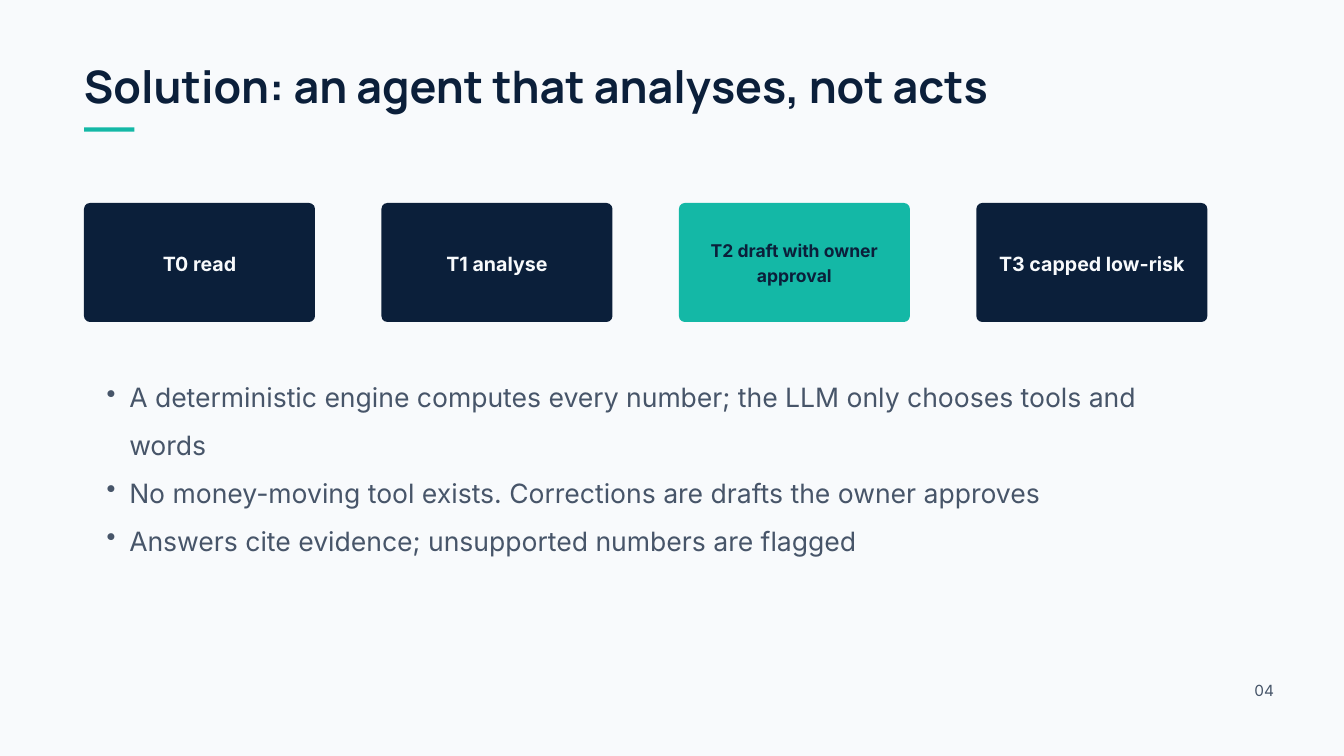
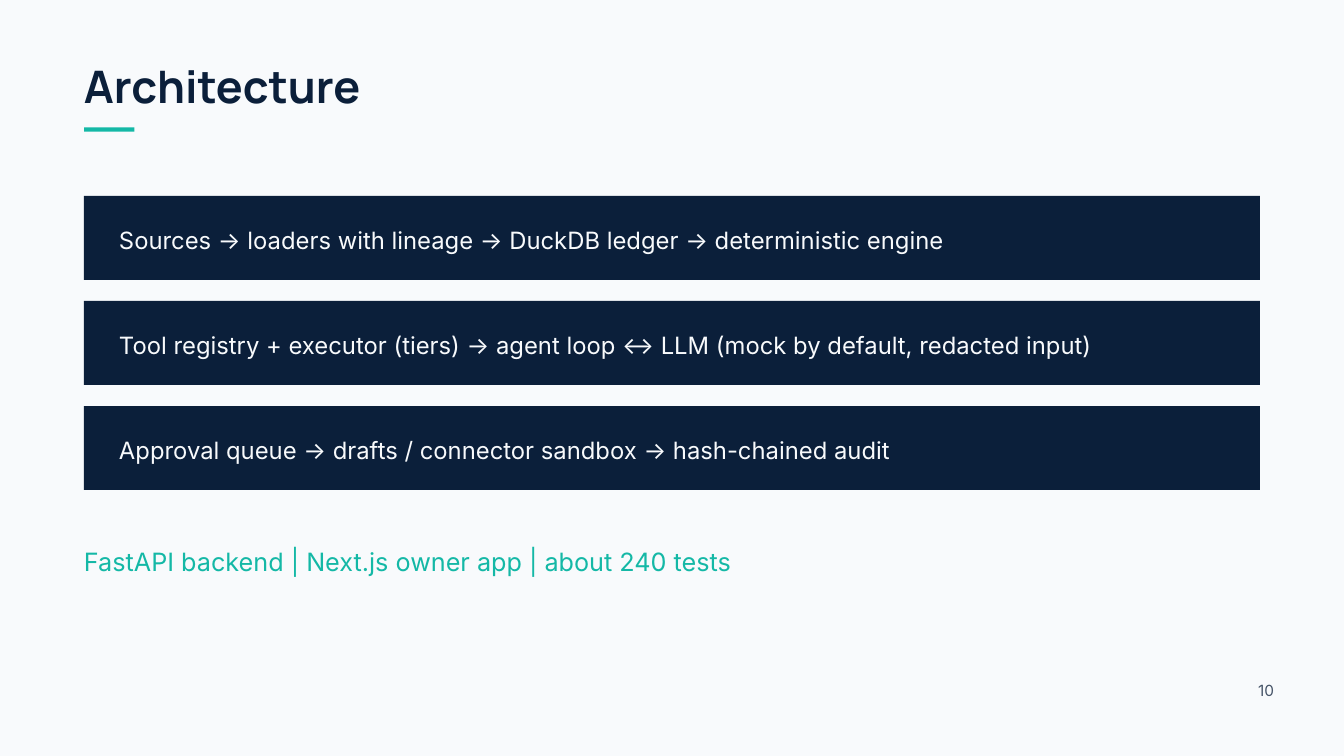
from pptx import Presentation
from pptx.dml.color import RGBColor
from pptx.enum import shapes as sh, text as tx
from pptx.oxml import ns, xmlchemy as xc
from pptx.util import Pt

NAVY = RGBColor(0x0B, 0x1F, 0x3A)
TEAL = RGBColor(0x14, 0xB8, 0xA6)
PAPER = RGBColor(0xF8, 0xFA, 0xFC)
SLATE = RGBColor(0x47, 0x55, 0x69)
LEFT, FULL = 90, 1260


def block(slide, kind, x, y, w, h, fill):
    """Add a filled shape without line or shadow."""
    item = slide.shapes.add_shape(kind, Pt(x), Pt(y), Pt(w), Pt(h))
    item.shadow.inherit = False
    item.fill.solid()
    item.fill.fore_color.rgb = fill
    item.line.fill.background()
    return item


def write(item, lines, size, color, lead, font="Inter", bold=False,
          align=tx.PP_ALIGN.LEFT, anchor=tx.MSO_ANCHOR.TOP, pads=(0, 0, 0, 0)):
    """Fill a shape or text box; pads run left, top, right, bottom."""
    frame = item.text_frame
    frame.word_wrap = True
    frame.vertical_anchor = anchor
    frame.margin_left, frame.margin_top, frame.margin_right, frame.margin_bottom = map(Pt, pads)
    frame.text = "\n".join(lines)
    for para in frame.paragraphs:
        para.alignment = align
        para.line_spacing = Pt(lead)
        for run in para.runs:
            run.font.name = font
            run.font.size = Pt(size)
            run.font.bold = bold
            run.font.color.rgb = color
    return frame


deck = Presentation()
deck.slide_width, deck.slide_height = Pt(1440), Pt(810)

# Shared frame: background, title, accent rule, page number
pages = []
for title, num in (("Solution: an agent that analyses, not acts", "04"),
                   ("Architecture", "10")):
    page = deck.slides.add_slide(deck.slide_layouts[6])
    page.background.fill.solid()
    page.background.fill.fore_color.rgb = PAPER
    head = page.shapes.add_textbox(Pt(LEFT), Pt(69), Pt(1125), Pt(53))
    write(head, [title], 48, NAVY, 51.8, font="Manrope", bold=True)
    block(page, sh.MSO_SHAPE.RECTANGLE, LEFT, 136.5, 54, 4.5, TEAL)
    foot = page.shapes.add_textbox(Pt(1312.5), Pt(726.5), Pt(52.5), Pt(23))
    write(foot, [num], 16.5, SLATE, 23.1, align=tx.PP_ALIGN.RIGHT)
    pages.append(page)
tiers, arch = pages

# Tier cards
cards = (
    ("T0 read", NAVY, PAPER, 21),
    ("T1 analyse", NAVY, PAPER, 21),
    ("T2 draft with owner approval", TEAL, NAVY, 18.8),
    ("T3 capped low-risk", NAVY, PAPER, 21),
)
for i, (label, fill, ink, size) in enumerate(cards):
    card = block(tiers, sh.MSO_SHAPE.ROUNDED_RECTANGLE,
                 LEFT + i * 318.7, 217.5, 247.5, 127.5, fill)
    card.adjustments[0] = 0.05
    write(card, [label], size, ink, size * 1.4, bold=True, align=tx.PP_ALIGN.CENTER,
          anchor=tx.MSO_ANCHOR.MIDDLE, pads=(4.5, 2.25, 4.5, 4.5))

# Bullet list
points = [
    "A deterministic engine computes every number; the LLM only chooses tools and words",
    "No money-moving tool exists. Corrections are drafts the owner approves",
    "Answers cite evidence; unsupported numbers are flagged",
]
notes = tiers.shapes.add_textbox(Pt(LEFT), Pt(391), Pt(1200), Pt(150.5))
for para in write(notes, points, 28.5, SLATE, 51.3).paragraphs:
    para.level = 1
    props = para._p.get_or_add_pPr()
    props.set("marL", str(Pt(48.5)))
    props.set("indent", str(-Pt(24.25)))
    mark = xc.OxmlElement("a:buChar")
    mark.set("char", "•")
    props.append(mark)

# Architecture layers
layers = (
    "Sources → loaders with lineage → DuckDB ledger → deterministic engine",
    "Tool registry + executor (tiers) → agent loop ↔ LLM (mock by default, redacted input)",
    "Approval queue → drafts / connector sandbox → hash-chained audit",
)
for i, label in enumerate(layers):
    bar = block(arch, sh.MSO_SHAPE.RECTANGLE, LEFT, 210 + i * 112.5, FULL, 90, NAVY)
    write(bar, [label], 25.5, PAPER, 35.7, pads=(37.5, 27, 37.5, 0))

# Stack line
stack = arch.shapes.add_textbox(Pt(LEFT), Pt(579.5), Pt(FULL), Pt(37.5))
write(stack, ["FastAPI backend | Next.js owner app | about 240 tests"], 27, TEAL, 37.8)

deck.save("out.pptx")
